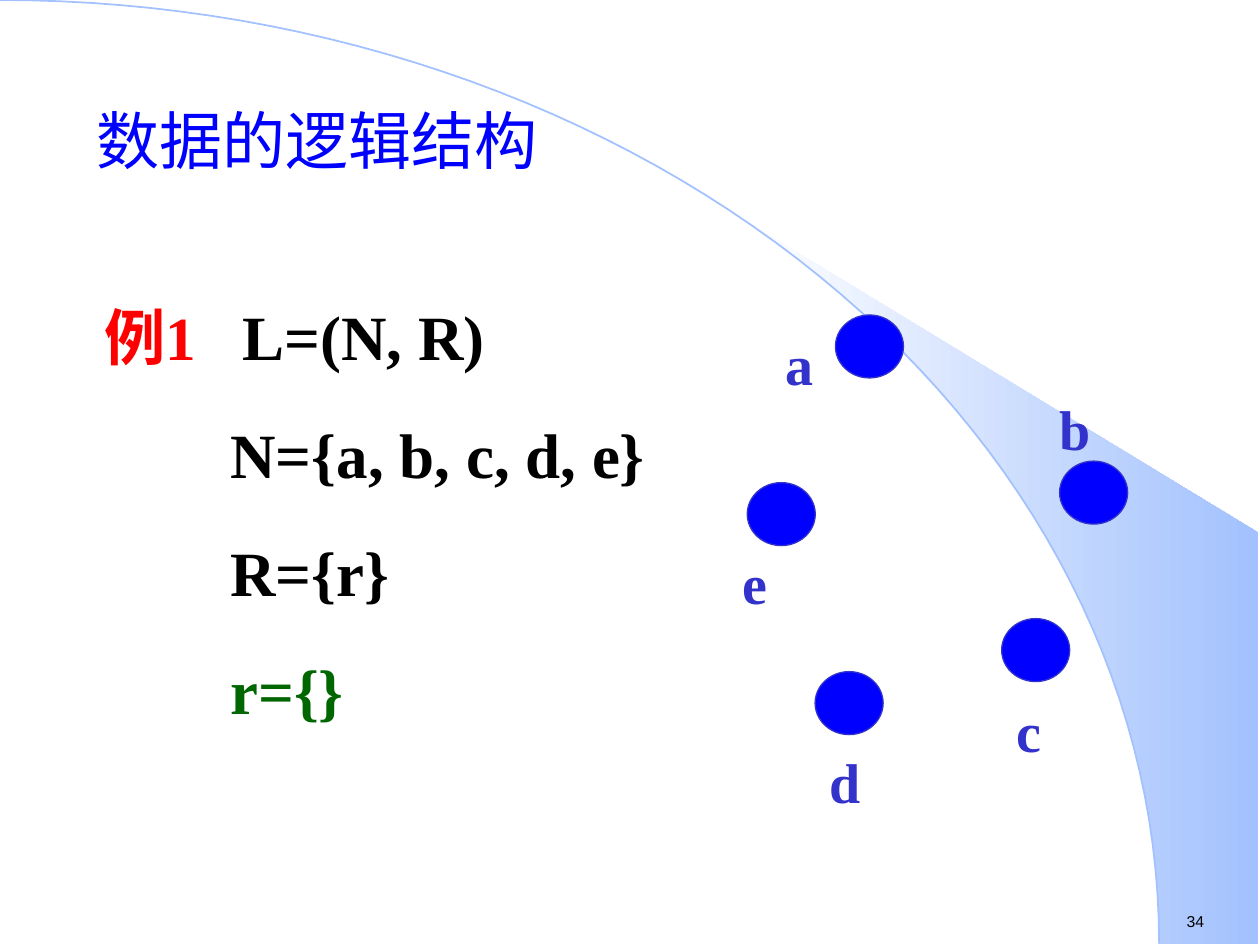
"""Build the slide on the logical structure of data."""
from math import asin, cos, pi, sin
from lxml.etree import SubElement
from pptx import Presentation
from pptx.dml.color import RGBColor
from pptx.enum.shapes import MSO_SHAPE
from pptx.enum.text import PP_ALIGN
from pptx.oxml.ns import qn
from pptx.util import Pt

BLUE, PALE, INK = "0000FF", "A2C1FE", "3333CC"
SERIF = "Times New Roman"
TITLE = "数据的逻辑结构"
PAGE = "34"
LINES = [
    (0, [("例1", 35, "FF0000"), ("\tL=(N, R)", 36, "000000")]),
    (72, [("N={a, b, c, d, e}", 36, "000000")]),
    (72, [("R={r}", 36, "000000")]),
    (72, [("r={}", 36, "006600")]),
]
NODES = [
    ("a", (477.4, 180), (439.2, 185, 35.3)),
    ("b", (605.5, 263.5), (589, 221.8, 50.4)),
    ("c", (572.4, 353.5), (569.5, 394.6, 37.4)),
    ("d", (465.8, 383.8), (462.2, 423.4, 41)),
    ("e", (427, 275.8), (411.1, 309.6, 40.3)),
]
NODE_W, NODE_H, LABEL_H = 38.9, 36, 46
ARC_W, ARC_H = 662.4, 539.3
EDGE_X, EDGE_Y, WEDGE_X = 719.3, 304.6, 424.1
STEPS = 60


def color(hue):
    return RGBColor.from_string(hue)


def arc(start):
    turns = [start + (pi / 2 - start) * i / STEPS for i in range(STEPS + 1)]
    return [(ARC_W * sin(t), ARC_H * (1 - cos(t))) for t in turns]


def trace(shapes, dots, close):
    pts = [(Pt(x), Pt(y)) for x, y in dots]
    pen = shapes.build_freeform(*pts[0], scale=1.0)
    pen.add_line_segments(pts[1:], close=close)
    shape = pen.convert_to_shape()
    shape.shadow.inherit = False
    return shape


def add_box(shapes, x, y, w, h, wrap=True):
    box = shapes.add_textbox(Pt(x), Pt(y), Pt(w), Pt(h))
    box.text_frame.word_wrap = wrap
    return box.text_frame


def add_run(para, text, size, hue, face=SERIF, bold=False):
    run = para.add_run()
    run.text = text
    font = run.font
    font.name, font.size, font.bold = face, Pt(size), bold
    font.color.rgb = color(hue)


def add_arcs(shapes):
    rim = [(EDGE_X, ARC_H), (EDGE_X, EDGE_Y)]
    wedge = trace(shapes, arc(asin(WEDGE_X / ARC_W)) + rim, True)
    wedge.line.fill.background()
    wedge.fill.gradient()
    wedge.fill.gradient_angle = 0
    for stop, pos, hue in zip(wedge.fill.gradient_stops, (0, 1), ("FFFFFF", PALE)):
        stop.position = pos
        stop.color.rgb = color(hue)
    curve = trace(shapes, arc(0), False)
    curve.fill.background()
    curve.line.color.rgb = color(PALE)
    curve.line.width = Pt(1)


def add_lines(shapes):
    frame = add_box(shapes, 52.6, 166.3, 352.8, 247.7)
    for i, (indent, runs) in enumerate(LINES):
        para = frame.add_paragraph() if i else frame.paragraphs[0]
        props = para._p.get_or_add_pPr()
        if i:
            para.space_before = Pt(24.3)
            props.set("marL", str(Pt(indent)))
        else:
            tabs = SubElement(props, qn("a:tabLst"))
            SubElement(tabs, qn("a:tab"), pos=str(Pt(79)), algn="l")
        for text, size, hue in runs:
            add_run(para, text, size, hue, bold=True)


def add_node(shapes, name, spot, place):
    dot = shapes.add_shape(MSO_SHAPE.OVAL, *map(Pt, (*spot, NODE_W, NODE_H)))
    dot.shadow.inherit = False
    dot.fill.solid()
    dot.fill.fore_color.rgb = color(BLUE)
    dot.line.color.rgb = color(INK)
    dot.line.width = Pt(0.75)
    para = add_box(shapes, *place, LABEL_H).paragraphs[0]
    para.alignment = PP_ALIGN.CENTER
    add_run(para, name, 32, INK, bold=True)


def main():
    deck = Presentation()
    deck.slide_width, deck.slide_height = Pt(720), Pt(540)
    shapes = deck.slides.add_slide(deck.slide_layouts[6]).shapes
    add_arcs(shapes)
    page = add_box(shapes, 671, 517.7, 55.4, 18, False)
    add_run(page.paragraphs[0], PAGE, 9, "000000", "Arial")
    title = add_box(shapes, 48.2, 54.7, 617.8, 67.7)
    add_run(title.paragraphs[0], TITLE, 36, BLUE)
    add_lines(shapes)
    for node in NODES:
        add_node(shapes, *node)
    deck.save("out.pptx")


if __name__ == "__main__":
    main()
